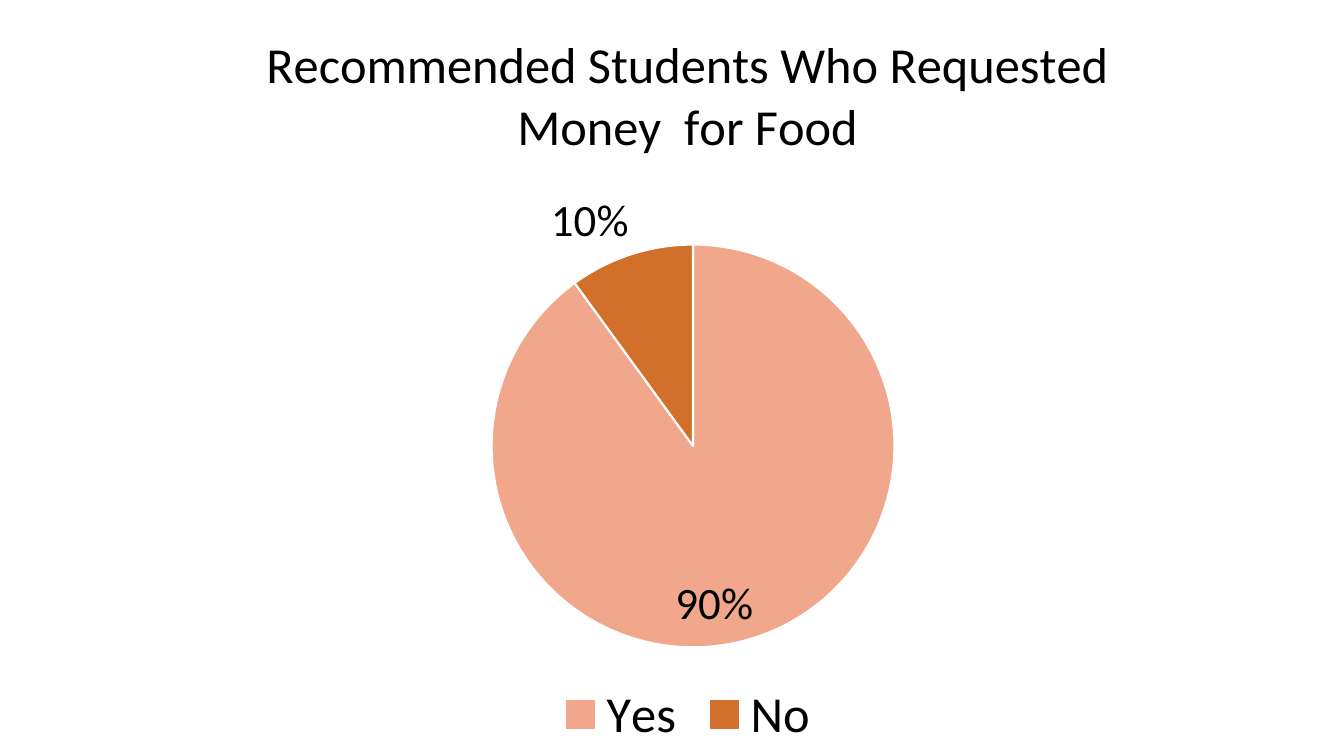
from pptx import Presentation
from pptx.chart.data import CategoryChartData
from pptx.dml.color import RGBColor
from pptx.enum import chart as kinds
from pptx.oxml import parse_xml
from pptx.oxml.ns import nsdecls
from pptx.util import Inches, Pt

BLACK = RGBColor(0x00, 0x00, 0x00)
WHITE = RGBColor(0xFF, 0xFF, 0xFF)
PEACH = RGBColor(0xF1, 0xA7, 0x8B)
RUST = RGBColor(0xD2, 0x6F, 0x2B)


def style(font, size):
    font.name = "Calibri"
    font.size = Pt(size)
    font.bold = False
    font.color.rgb = BLACK


def layout(target="", **spots):
    modes = "".join(f'<c:{key}Mode val="edge"/>' for key in "xy")
    sizes = "".join(f'<c:{key} val="{val}"/>' for key, val in spots.items())
    return parse_xml(f'<c:layout {nsdecls("c")}><c:manualLayout>{target}{modes}{sizes}'
                     '</c:manualLayout></c:layout>')


deck = Presentation()
deck.slide_width = Inches(13.33)
deck.slide_height = Inches(7.5)
slide = deck.slides.add_slide(deck.slide_layouts[6])

data = CategoryChartData()
data.categories = ["Yes", "No"]
data.add_series("Series 1", [90, 10])
frame = slide.shapes.add_chart(kinds.XL_CHART_TYPE.PIE, Inches(1.42), 0,
                               Inches(10.8), Inches(7.5), data)
chart = frame.chart
style(chart.font, 10)

title = chart.chart_title
title.text_frame.text = "Recommended Students Who Requested Money  for Food"
style(title.text_frame.paragraphs[0].runs[0].font, 36)
title.include_in_layout = False
title._element.get_or_add_tx().addnext(layout(x=0.11, y=0.05))

chart.has_legend = True
legend = chart.legend
legend.position = kinds.XL_LEGEND_POSITION.BOTTOM
legend.include_in_layout = False
style(legend.font, 36)

plot = chart.plots[0]
plot.vary_by_categories = True
area = chart._chartSpace.chart.plotArea
for old in area.findall("{*}layout"):
    area.remove(old)
area.insert(0, layout('<c:layoutTarget val="inner"/>', x=0.32, y=0.32, w=0.37, h=0.54))

places = kinds.XL_LABEL_POSITION
slices = [(PEACH, places.INSIDE_END), (RUST, places.OUTSIDE_END)]
for spot, (color, place) in enumerate(slices):
    point = plot.series[0].points[spot]
    point.format.fill.solid()
    point.format.fill.fore_color.rgb = color
    point.format.line.color.rgb = WHITE
    point.format.line.width = Pt(1.5)
    label = point.data_label
    style(label.font, 32)
    label.position = place

labels = plot.series[0].data_labels
style(labels.font, 32)
labels.show_percentage = True
labels.show_value = False
for flag, val in (("showVal", "0"), ("showPercent", "1")):
    for node in labels._element.iter("{*}" + flag):
        node.set("val", val)

deck.save("out.pptx")
